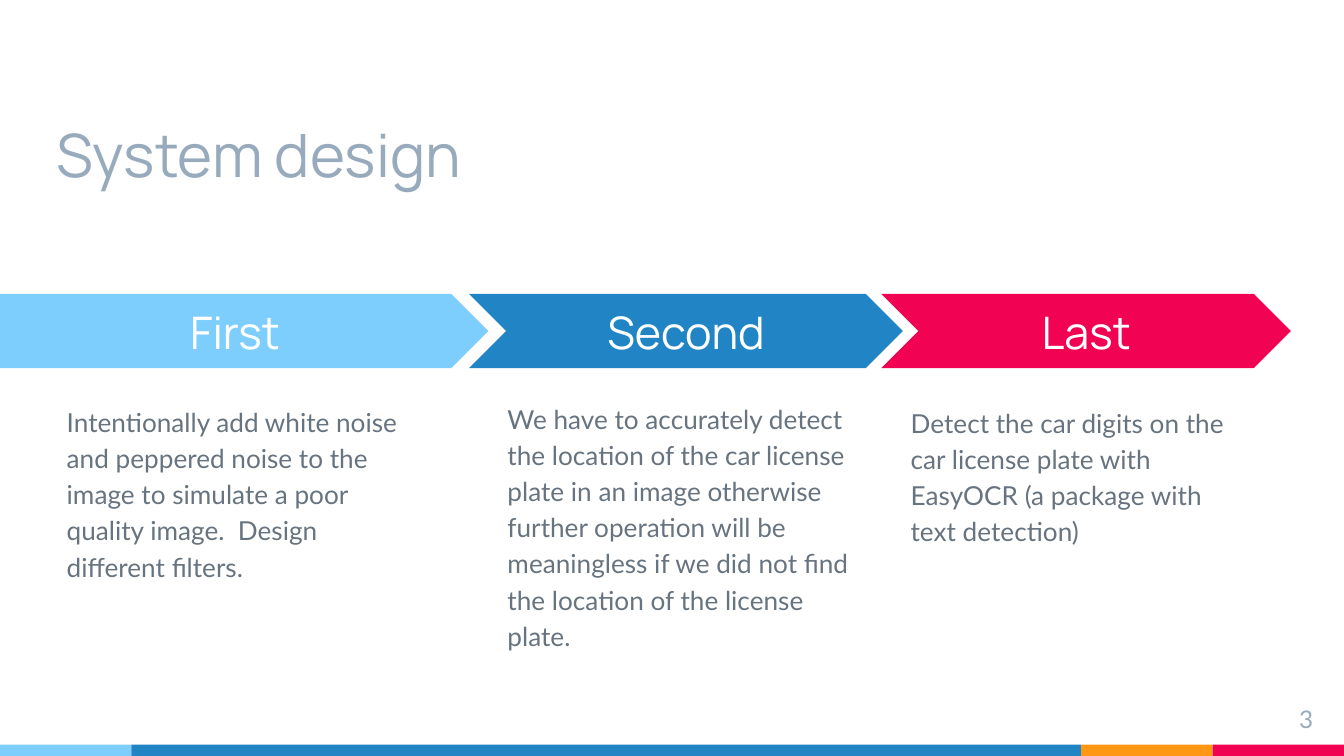
from pptx import Presentation
from pptx import util as u
from pptx.dml.color import RGBColor
from pptx.enum import shapes, text

COLORS = {
    "sky": "7ECEFD",
    "blue": "2185C5",
    "orange": "FF9715",
    "red": "F20253",
    "heading": "97ABBC",
    "body": "677480",
    "white": "FFFFFF",
}


class Deck:
    """Holds the style and the slide being drawn; lengths are in points."""

    heading_font = "Manrope"
    body_font = "Lato"
    inset = 7.2

    def __init__(self, width, height):
        self.presentation = Presentation()
        self.presentation.slide_width = u.Pt(width)
        self.presentation.slide_height = u.Pt(height)
        self.slide = self.presentation.slides.add_slide(self.presentation.slide_layouts[6])

    def set_words(self, shape, words, font, size, color, align, anchor, spacing):
        frame = shape.text_frame
        frame.text = words
        frame.word_wrap = True
        frame.vertical_anchor = anchor
        frame.margin_left = frame.margin_right = u.Pt(self.inset)
        frame.margin_top = frame.margin_bottom = u.Pt(self.inset)
        for paragraph in frame.paragraphs:
            paragraph.alignment = align
            paragraph.line_spacing = spacing
            for run in paragraph.runs:
                run.font.name = font
                run.font.size = u.Pt(size)
                run.font.color.rgb = RGBColor.from_string(COLORS[color])

    def block(self, box, color, kind=shapes.MSO_SHAPE.RECTANGLE):
        shape = self.slide.shapes.add_shape(kind, *map(u.Pt, box))
        shape.shadow.inherit = False
        shape.fill.solid()
        shape.fill.fore_color.rgb = RGBColor.from_string(COLORS[color])
        shape.line.fill.background()
        return shape

    def arrow(self, box, label, color, kind):
        shape = self.block(box, color, kind)
        shape.adjustments[0] = 0.5
        self.set_words(shape, label, self.heading_font, 24, "white",
                       text.PP_ALIGN.CENTER, text.MSO_ANCHOR.MIDDLE, 1.0)

    def label(self, box, words, font, size, color, align=text.PP_ALIGN.LEFT,
              anchor=text.MSO_ANCHOR.TOP, spacing=1.0):
        shape = self.slide.shapes.add_textbox(*map(u.Pt, box))
        self.set_words(shape, words, font, size, color, align, anchor, spacing)


def main():
    width, height = 720, 405
    deck = Deck(width, height)

    stripe_height, end = 6, 70.4
    stripes = [("sky", end), ("blue", width - 3 * end), ("orange", end), ("red", end)]
    left = 0
    for color, span in stripes:
        deck.block((left, height - stripe_height, span, stripe_height), color)
        left += span

    deck.label((23, 41, 509, 67.5), "System design", deck.heading_font, 32, "heading",
               anchor=text.MSO_ANCHOR.BOTTOM)

    pentagon, chevron = shapes.MSO_SHAPE.PENTAGON, shapes.MSO_SHAPE.CHEVRON
    steps = [
        ("First", "sky", pentagon, 0, 261.6, (28.7, 208.2, 204.5, 137),
         "Intentionally add white noise and peppered noise to the image to simulate "
         "a poor quality image.  Design different filters."),
        ("Second", "blue", chevron, 251.3, 232.4, (264.8, 206.6, 197.3, 165),
         "We have to accurately detect the location of the car license plate in an image "
         "otherwise further operation will be meaningless if we did not find the location "
         "of the license plate."),
        ("Last", "red", chevron, 472.2, 219.4, (480.8, 208.4, 192.2, 155.5),
         "Detect the car digits on the car license plate with EasyOCR "
         "(a package with text detection)"),
    ]
    for name, color, kind, left, span, details_box, details in steps:
        deck.arrow((left, 157.5, span, 39.7), name, color, kind)
        deck.label(details_box, details, deck.body_font, 14, "body", spacing=1.15)

    deck.label((667.4, 370, 43.2, 24.5), "3", deck.body_font, 13, "heading",
               align=text.PP_ALIGN.RIGHT)
    deck.presentation.save("out.pptx")


if __name__ == "__main__":
    main()
